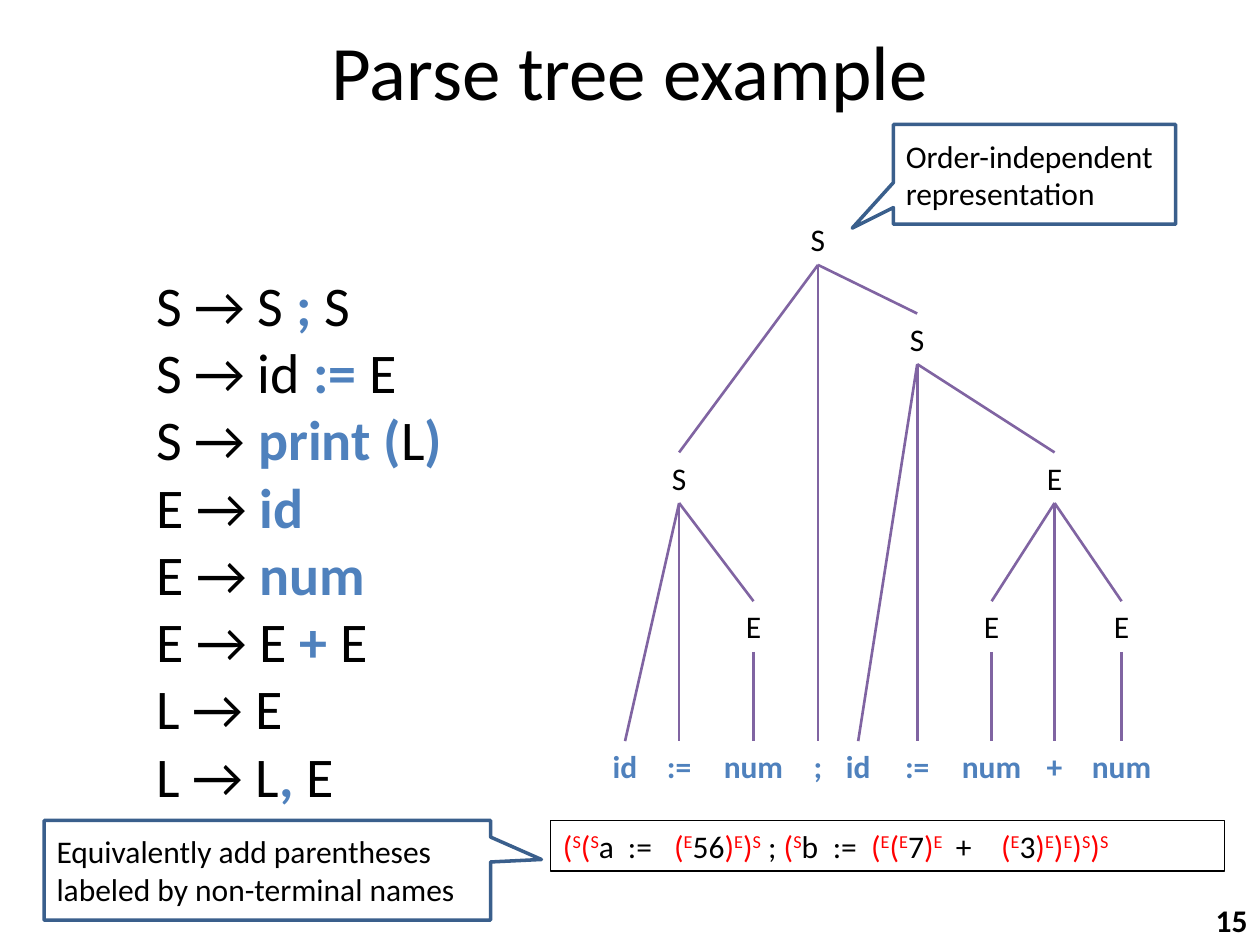
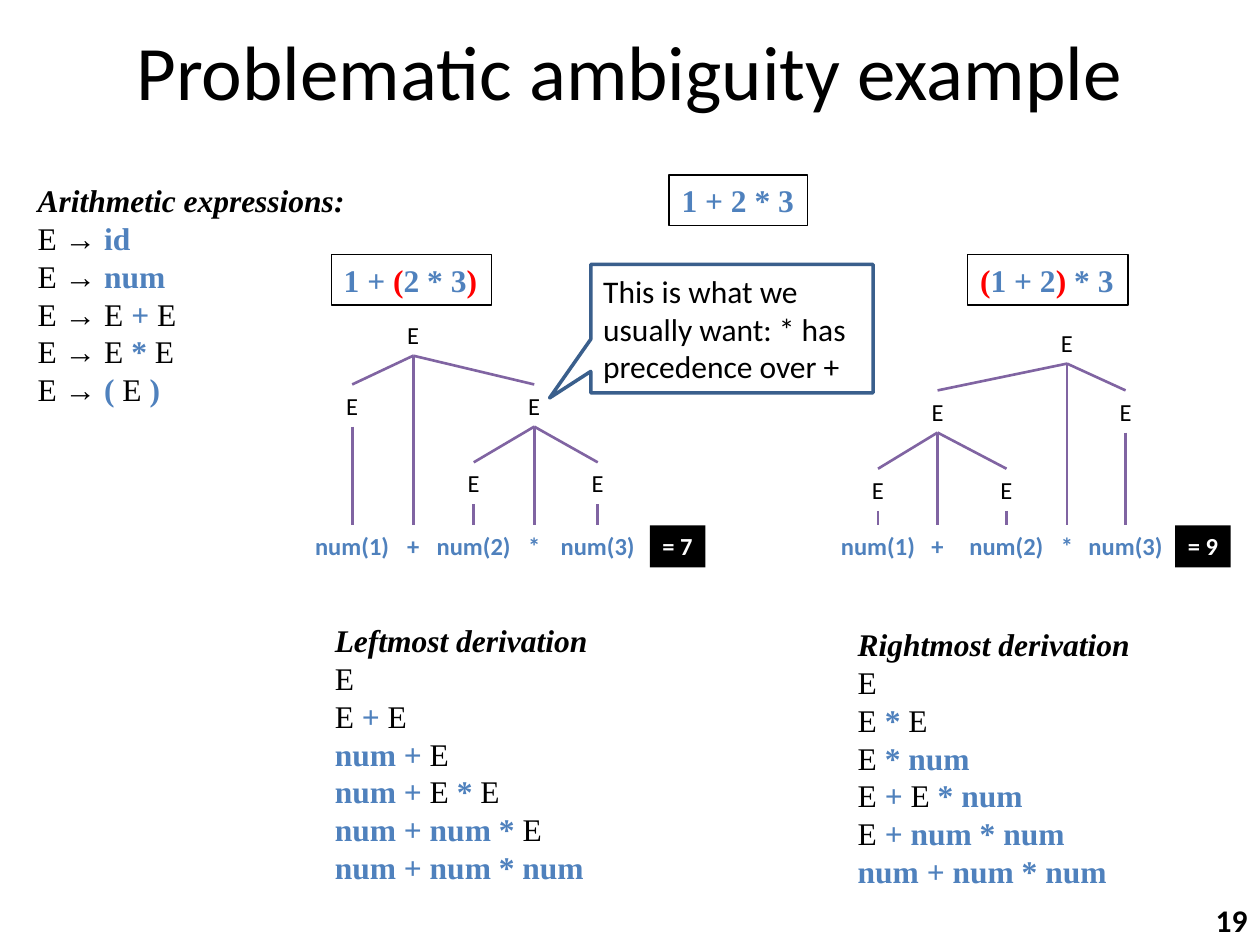
from dataclasses import dataclass
from itertools import groupby

from lxml import etree
from pptx import Presentation
from pptx.dml.color import RGBColor
from pptx.enum import shapes, text
from pptx.oxml import ns
from pptx.util import Cm, Pt


@dataclass(frozen=True)
class Theme:
    sans: str = "Calibri"
    serif: str = "Times New Roman"
    ink: str = "000000"
    paper: str = "FFFFFF"
    token: str = "4F81BD"
    paren: str = "FF0000"
    branch: str = "8064A2"
    callout: str = "3A5F8C"
    title: int = 44
    grammar: int = 32
    body: int = 18
    small: int = 14
    hairline: float = 0.75
    branch_width: float = 1.5
    callout_width: float = 2


T = Theme()
TOKEN, PAREN, HEADING, SUPER = "|~_^"
LEFT, CENTER, RIGHT = text.PP_ALIGN.LEFT, text.PP_ALIGN.CENTER, text.PP_ALIGN.RIGHT
LINE_H = 1.02
SMALL_H = 0.85


def rgb(value):
    return RGBColor.from_string(value)


def styled_runs(line):
    state, chars = frozenset(), []
    for ch in line:
        if ch in (TOKEN, PAREN, HEADING, SUPER):
            state ^= {ch}
        else:
            chars.append((state, ch))
    for key, group in groupby(chars, key=lambda pair: pair[0]):
        yield key, "".join(ch for _, ch in group)


def write(sp, content, size=T.body, font=T.sans, color=T.ink, bold=False,
          align=LEFT, wrap=False, middle=False):
    tf = sp.text_frame
    tf.word_wrap = wrap
    tf.vertical_anchor = text.MSO_ANCHOR.MIDDLE if middle else text.MSO_ANCHOR.TOP
    for i, line in enumerate(content.split("\n")):
        p = tf.add_paragraph() if i else tf.paragraphs[0]
        p.alignment = align
        for marks, words in styled_runs(line):
            r = p.add_run()
            r.text = words
            r.font.name, r.font.size = font, Pt(size)
            r.font.bold = bold or bool(marks & {TOKEN, HEADING})
            r.font.italic = HEADING in marks
            shade = T.paren if PAREN in marks else T.token if TOKEN in marks else color
            r.font.color.rgb = rgb(shade)
            if SUPER in marks:
                r._r.get_or_add_rPr().set("baseline", "30000")
    return sp


def label(s, box, content, **style):
    return write(s.shapes.add_textbox(*map(Cm, box)), content, **style)


def panel(s, box, content, kind=shapes.MSO_SHAPE.RECTANGLE, fill=None,
          line=None, width=T.hairline, **style):
    sp = s.shapes.add_shape(kind, *map(Cm, box))
    sp.shadow.inherit = False
    if fill:
        sp.fill.solid()
        sp.fill.fore_color.rgb = rgb(fill)
    else:
        sp.fill.background()
    if line:
        sp.line.color.rgb = rgb(line)
        sp.line.width = Pt(width)
    else:
        sp.line.fill.background()
    return write(sp, content, **style)


def callout(s, box, content, tip):
    sp = panel(s, box, content, shapes.MSO_SHAPE.RECTANGULAR_CALLOUT,
               line=T.callout, width=T.callout_width, wrap=True, middle=True)
    sp.adjustments[0], sp.adjustments[1] = tip


def expression(s, x, y, w, content):
    panel(s, (x, y, w, LINE_H), content, line=T.ink, font=T.serif)


def set_tabs(p, stops):
    tabs = etree.SubElement(p._p.get_or_add_pPr(), ns.qn("a:tabLst"))
    for stop in stops:
        etree.SubElement(tabs, ns.qn("a:tab"), pos=str(Cm(stop)), algn="l")


def branch(s, start, end):
    c = s.shapes.add_connector(shapes.MSO_CONNECTOR.STRAIGHT, *map(Cm, start + end))
    c.line.color.rgb = rgb(T.branch)
    c.line.width = Pt(T.branch_width)
    etree.SubElement(c._element.spPr, ns.qn("a:effectLst"))


def tree(s, x, y, leaf_y, node, size, height):
    """Each node is (symbol, top, *children); each leaf is (token, centre)."""
    def draw(symbol, place, *children):
        if children:
            tops = [draw(*child) for child in children]
            centre, top = tops[len(tops) // 2][0], y + place
            for child_top in tops:
                branch(s, (centre, top + height), child_top)
        else:
            centre, top = x + place, y + leaf_y
        width = 2 if not children else 1
        label(s, (centre - width / 2, top, width, height), symbol, size=size, align=CENTER,
              color=T.ink if children else T.token, bold=not children)
        return centre, top

    draw(*node)


def new_slide(prs, title, number):
    s = prs.slides.add_slide(prs.slide_layouts[6])
    label(s, (1.27, 0.33, 22.86, 2.16), title, size=T.title, align=CENTER,
          wrap=True, middle=True)
    label(s, (24.1, 18.03, 1.3, LINE_H), number, bold=True, align=RIGHT, wrap=True)
    return s


def labelled_parentheses(s, x, y):
    callout(s, (x, y, 9, 2.01),
            "Equivalently add parentheses labeled by non-terminal names", (0.614, -0.108))
    sp = panel(s, (x + 10.21, y, 13.59, LINE_H),
               "~(^S^(^S^~a\t:=\t~(^E^~56~)^E^)^S^~ ; ~(^S^~b\t:=\t"
               "~(^E^(^E^~7~)^E^~\t+\t~(^E^~3~)^E^)^E^)^S^)^S^~",
               line=T.ink, wrap=True)
    set_tabs(sp.text_frame.paragraphs[0], (1.31, 2.24, 5.44, 6.21, 7.92, 8.83))


def parse_tree_slide(prs):
    s = new_slide(prs, "Parse tree example", "15")
    label(s, (2.9, 5.33, 6.4, 11.2),
          "S → S |; |S\nS → id |:= |E\nS → |print (|L|)|\nE → |id|\nE → |num|\n"
          "E → E |+ |E\nL → E\nL → L|, |E", size=T.grammar, wrap=True)
    left = ("S", 4.8, ("id", 0.6), (":=", 1.69), ("E", 7.8, ("num", 3.19)))
    total = ("E", 4.8, ("E", 7.8, ("num", 7.99)), ("+", 9.26), ("E", 7.8, ("num", 10.61)))
    right = ("S", 2, ("id", 5.3), (":=", 6.49), total)
    tree(s, 12, 4.32, 10.62, ("S", 0, left, (";", 4.49), right), T.body, LINE_H)
    callout(s, (18.01, 2.51, 5.69, 2.01), "Order-independent representation", (-0.646, 0.54))
    labelled_parentheses(s, 0.89, 16.54)


def reading(s, x, y, grouping, grouping_x, node, result, derivation, derivation_box):
    expression(s, x + grouping_x, y, 3.23, grouping)
    tree(s, x, y, 5.46, node, T.small, SMALL_H)
    panel(s, (x + 7, y + 5.46, 1.12, SMALL_H), result, fill=T.ink, size=T.small,
          color=T.paper, bold=True, align=CENTER)
    dx, dy, w = derivation_box
    label(s, (x + dx, y + dy, w, 5.64), derivation, font=T.serif)


def ambiguity_slide(prs):
    s = new_slide(prs, "Problematic ambiguity example", "19")
    label(s, (0.51, 3.53, 6.81, 4.88),
          "_Arithmetic expressions:_\nE → |id|\nE → |num|\nE → E |+ |E\n"
          "E → E |* |E\nE → |( |E |)|", font=T.serif, wrap=True)
    expression(s, 13.49, 3.53, 2.79, "|1 + 2 * 3|")

    product = ("E", 2.62, ("E", 4.19, ("num(2)", 3.45)), ("*", 4.67),
               ("E", 4.19, ("num(3)", 5.95)))
    reading(s, 6.1, 5.13, "|1 + ~(~2 * 3~)~|", 0.58,
            ("E", 1.19, ("E", 2.62, ("num(1)", 1)), ("+", 2.23), product), "= 7",
            "_Leftmost derivation_\nE\nE |+| E\n|num +| E\n|num +| E |*| E\n"
            "|num + num *| E\n|num + num * num|", (0.4, 7.27, 5.87))

    addition = ("E", 2.74, ("E", 4.32, ("num(1)", 1.01)), ("+", 2.21),
                ("E", 4.32, ("num(2)", 3.6)))
    reading(s, 16.69, 5.13, "|~(~1 + 2~)~ * 3|", 2.82,
            ("E", 1.35, addition, ("*", 4.82), ("E", 2.74, ("num(3)", 6))), "= 9",
            "_Rightmost derivation_\nE\nE |*| E\nE |* num|\nE |+| E |* num|\n"
            "E |+ num * num|\n|num + num * num|", (0.35, 7.35, 6.27))

    callout(s, (11.91, 5.33, 5.69, 2.59),
            "This is what we usually want: * has precedence over +", (-0.646, 0.54))


def main():
    prs = Presentation()
    prs.slide_width, prs.slide_height = Cm(25.4), Cm(19.05)
    parse_tree_slide(prs)
    ambiguity_slide(prs)
    prs.save("out.pptx")


if __name__ == "__main__":
    main()
